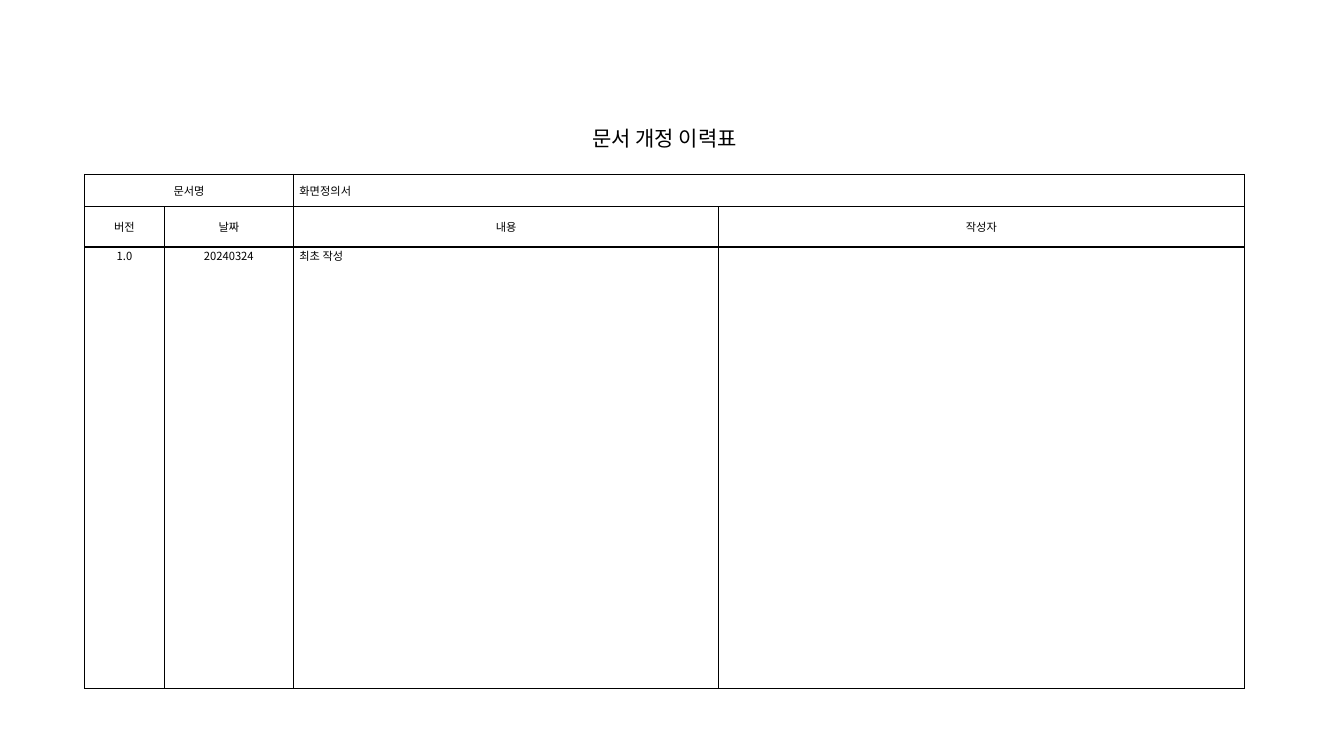
from pptx import Presentation
from pptx.dml.color import RGBColor
from pptx.enum.text import MSO_ANCHOR as ANCHOR, PP_ALIGN as ALIGN
from pptx.oxml.ns import qn
from pptx.util import Inches, Pt
from lxml.etree import SubElement

COLORS = {"ink": "000000", "paper": "FFFFFF"}
COLUMNS = [0.79, 1.28, 4.22, 5.21]
ROWS = [1.04, 0.32, 0.4, 4.38]
MERGES = [((0, 0), (0, 3)), ((1, 0), (1, 1)), ((1, 2), (1, 3))]
TEXTS = {
    (0, 0): "문서 개정 이력표",
    (1, 0): "문서명", (1, 2): "화면정의서",
    (2, 0): "버전", (2, 1): "날짜", (2, 2): "내용", (2, 3): "작성자",
    (3, 0): "1.0", (3, 1): "20240324", (3, 2): "최초 작성",
}
JUSTIFIED = [(1, 2), (3, 2)]


class RevisionSlide:
    """Holds the style and the current slide, and adds elements to it."""

    def __init__(self, s, font="Noto Sans CJK KR", size=8, title_size=15):
        self.s, self.font, self.size, self.title_size = s, font, size, title_size

    def table(self, left, top, columns, rows):
        shape = self.s.shapes.add_table(
            len(rows), len(columns), Inches(left), Inches(top),
            Inches(sum(columns)), Inches(sum(rows)))
        table = shape.table
        table.first_row = table.horz_banding = False
        for column, width in zip(table.columns, columns):
            column.width = Inches(width)
        for row, height in zip(table.rows, rows):
            row.height = Inches(height)
        return table

    def borders(self, cell, colors):
        tcPr = cell._tc.get_or_add_tcPr()
        for side, color in zip("LRTB", colors):
            ln = SubElement(tcPr, qn(f"a:ln{side}"), w=str(Pt(1)))
            fill = SubElement(ln, qn("a:solidFill"))
            SubElement(fill, qn("a:srgbClr"), val=COLORS[color])

    def cell(self, cell, text, size, align, anchor, top=0):
        cell.fill.background()
        cell.margin_left = cell.margin_right = Inches(0.06)
        cell.margin_top, cell.margin_bottom = Inches(top), 0
        cell.vertical_anchor = anchor
        p = cell.text_frame.paragraphs[0]
        p.text = text
        p.alignment = align
        p.font.size = Pt(size)
        p.font.color.rgb = RGBColor.from_string(COLORS["ink"])
        p.font.name = self.font
        defaults = p._p.pPr.find(qn("a:defRPr"))
        SubElement(defaults, qn("a:ea"), typeface=self.font)

    def history(self):
        table = self.table(0.84, 0.69, COLUMNS, ROWS)
        for start, end in MERGES:
            table.cell(*start).merge(table.cell(*end))
        for r in range(len(ROWS)):
            is_title = r == 0
            edge = "paper" if is_title else "ink"
            top_edge = "paper" if is_title else "ink"
            size = self.title_size if is_title else self.size
            anchor = ANCHOR.TOP if r == len(ROWS) - 1 else ANCHOR.MIDDLE
            for c in range(len(COLUMNS)):
                cell = table.cell(r, c)
                align = ALIGN.JUSTIFY if (r, c) in JUSTIFIED else ALIGN.CENTER
                self.borders(cell, [edge, edge, top_edge, "ink"])
                self.cell(cell, TEXTS.get((r, c), ""), size, align, anchor,
                          top=0.3 if is_title else 0)


def main():
    prs = Presentation()
    prs.slide_width, prs.slide_height = Inches(13.33), Inches(7.5)
    RevisionSlide(prs.slides.add_slide(prs.slide_layouts[6])).history()
    prs.save("out.pptx")


if __name__ == "__main__":
    main()
